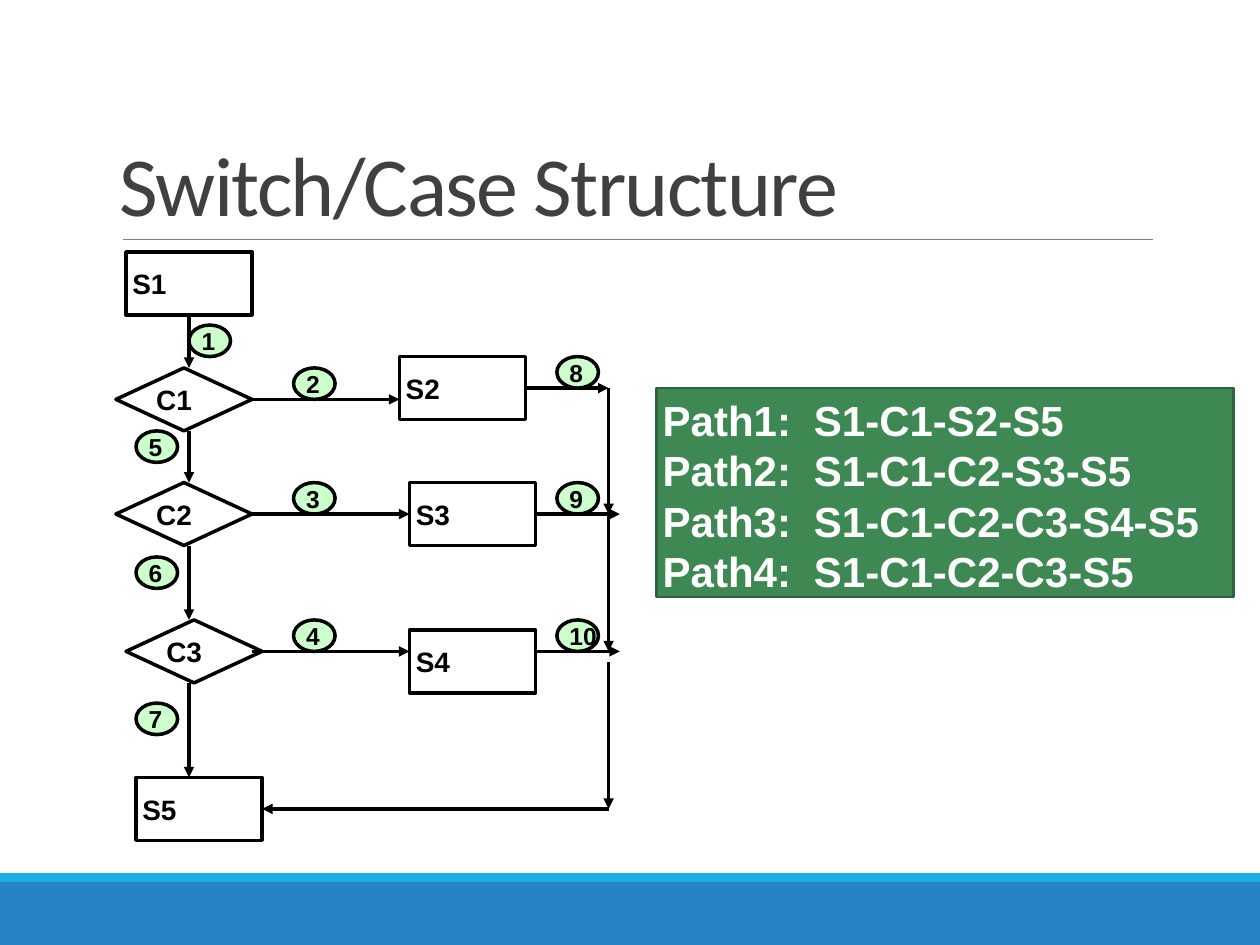
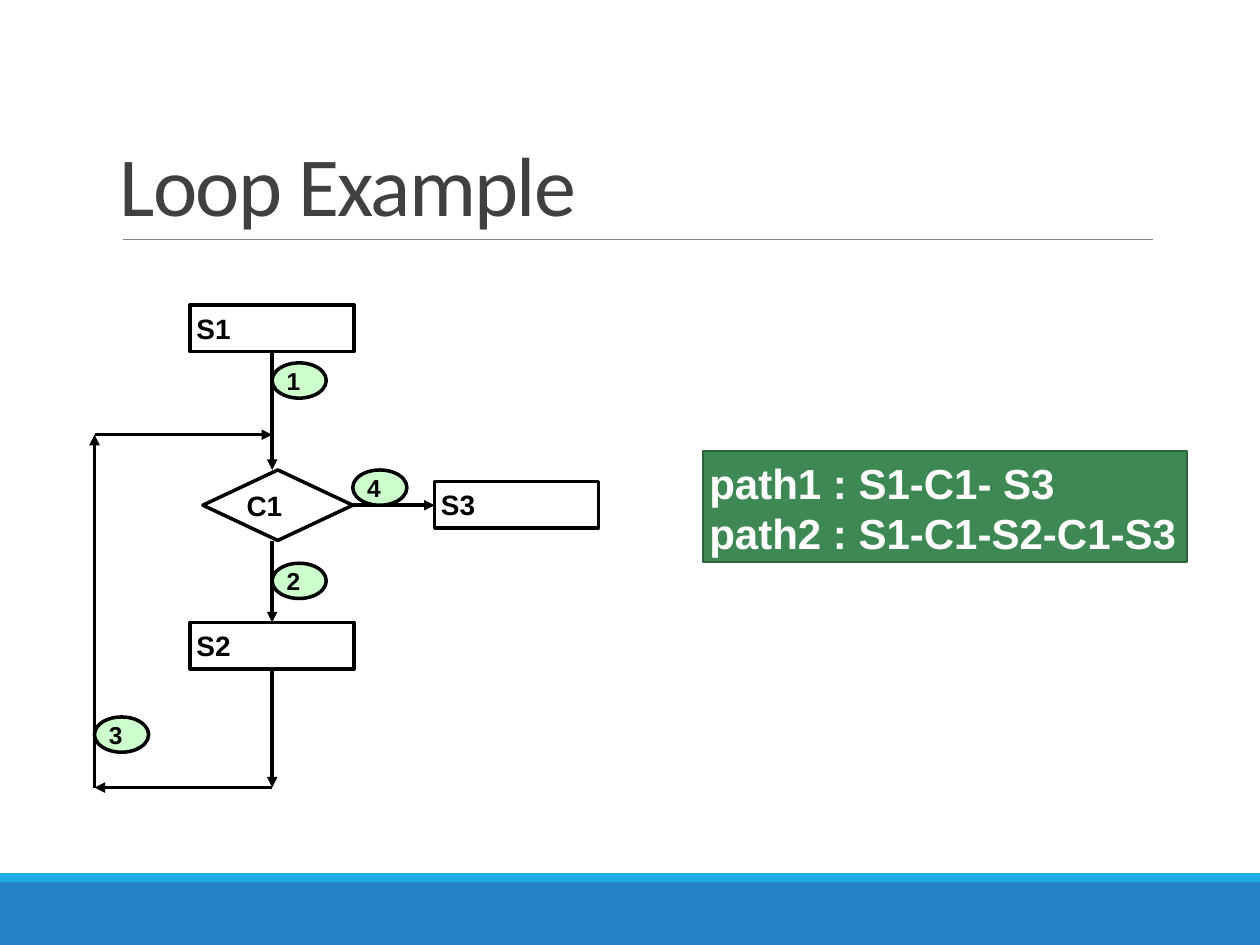
from lxml import etree
from pptx import Presentation
from pptx.dml.color import RGBColor
from pptx.enum.shapes import MSO_CONNECTOR, MSO_SHAPE
from pptx.enum.text import MSO_ANCHOR, MSO_AUTO_SIZE, PP_ALIGN
from pptx.oxml.ns import qn
from pptx.util import Inches, Pt

RECT = MSO_SHAPE.RECTANGLE
DIAMOND = MSO_SHAPE.DIAMOND
OVAL = MSO_SHAPE.OVAL
STRAIGHT = MSO_CONNECTOR.STRAIGHT
TOP, MIDDLE, BOTTOM = MSO_ANCHOR.TOP, MSO_ANCHOR.MIDDLE, MSO_ANCHOR.BOTTOM
FIT_SHAPE = MSO_AUTO_SIZE.SHAPE_TO_FIT_TEXT
LEFT = PP_ALIGN.LEFT

BLACK, WHITE = "000000", "FFFFFF"
BLUE, CYAN, GRAY, TITLE_GRAY = "2683C6", "1CADE4", "808080", "404040"
GREEN, DARK_GREEN, MINT = "3E8853", "2D633D", "CCFFCC"


def color(hex_string):
    return RGBColor.from_string(hex_string)


class Deck:
    def __init__(self):
        self.presentation = Presentation()
        self.presentation.slide_width = Inches(10)
        self.presentation.slide_height = Inches(7.5)
        self.slide = None

    def new_slide(self, title):
        layout = self.presentation.slide_layouts[6]
        self.slide = self.presentation.slides.add_slide(layout)
        self.shape(RECT, 0, 7, 10, 0.5, BLUE)
        self.shape(RECT, 0, 6.93, 10, 0.07, CYAN)
        self.line(0.98, 1.9, 9.15, 1.9, GRAY, 0.5)
        heading = self.slide.shapes.add_textbox(*map(Inches, (0.9, 0.31, 8.25, 1.59)))
        self.fill_text(heading, [title], 48, TITLE_GRAY, "Calibri", False, BOTTOM)
        paragraph = heading.text_frame.paragraphs[0]
        paragraph.line_spacing = 0.85
        paragraph.runs[0]._r.get_or_add_rPr().set("spc", "-100")

    def shape(self, preset, left, top, width, height, fill, outline=None, weight=2):
        shape = self.slide.shapes.add_shape(preset, *map(Inches, (left, top, width, height)))
        shape.shadow.inherit = False
        shape.fill.solid()
        shape.fill.fore_color.rgb = color(fill)
        if outline:
            shape.line.color.rgb = color(outline)
            shape.line.width = Pt(weight)
        else:
            shape.line.fill.background()
        return shape

    def line(self, x1, y1, x2, y2, stroke=BLACK, weight=2):
        connector = self.slide.shapes.add_connector(STRAIGHT, *map(Inches, (x1, y1, x2, y2)))
        connector.line.color.rgb = color(stroke)
        connector.line.width = Pt(weight)
        etree.SubElement(connector._element.spPr, qn("a:effectLst"))
        return connector

    def arrow(self, x1, y1, x2, y2):
        outline = self.line(x1, y1, x2, y2)._element.spPr.find(qn("a:ln"))
        etree.SubElement(outline, qn("a:tailEnd"), type="triangle")

    def fill_text(self, box, lines, size, ink, font="Arial", bold=True, anchor=MIDDLE, tab=None):
        frame = box.text_frame
        frame.word_wrap = True
        frame.vertical_anchor = anchor
        frame.margin_left = frame.margin_top = frame.margin_bottom = Inches(0.05)
        frame.margin_right = 0
        frame.text = "\n".join(lines)
        for paragraph in frame.paragraphs:
            paragraph.alignment = LEFT
            if tab:
                stops = etree.SubElement(paragraph._p.get_or_add_pPr(), qn("a:tabLst"))
                etree.SubElement(stops, qn("a:tab"), pos=str(Inches(tab)), algn="l")
            paragraph.font.name = font
            paragraph.font.size = Pt(size)
            paragraph.font.bold = bold
            paragraph.font.color.rgb = color(ink)

    def node(self, preset, text, left, top, width, height, fill=WHITE, size=16, inset=0):
        self.shape(preset, left, top, width, height, fill, BLACK)
        label_width = 0.1 + len(text) * (0.15 if size == 16 else 0.11)
        label_height = 0.36 if size == 16 else 0.34
        label_left = left + inset * width
        label_top = top + (height - label_height) / 2
        label = self.slide.shapes.add_textbox(
            *map(Inches, (label_left, label_top, label_width, label_height)))
        self.fill_text(label, [text], size, BLACK)
        label.text_frame.margin_right = Inches(0.05)
        label.text_frame.word_wrap = False
        label.text_frame.auto_size = FIT_SHAPE

    def statement(self, text, left, top, width=1, height=0.5):
        self.node(RECT, text, left, top, width, height)

    def condition(self, text, left, top, width=1.08, height=0.5):
        self.node(DIAMOND, text, left, top, width, height, inset=0.25)

    def edge_number(self, number, left, top, width=0.33, height=0.25):
        self.node(OVAL, str(number), left, top, width, height, MINT, 14, 0.15)

    def route_panel(self, lines, left, top, width, height, tab=None):
        panel = self.shape(RECT, left, top, width, height, GREEN, DARK_GREEN, 1.25)
        self.fill_text(panel, lines, 24, WHITE, anchor=TOP, tab=tab)


def switch_case(deck):
    deck.new_slide("Switch/Case Structure")
    for text, left, top in [("S1", 1, 2), ("S2", 3.17, 2.83), ("S3", 3.25, 3.83),
                            ("S4", 3.25, 5), ("S5", 1.08, 6.17)]:
        deck.statement(text, left, top)
    for text, left, top in [("C1", 0.92, 2.92), ("C2", 0.92, 3.83), ("C3", 1, 4.92)]:
        deck.condition(text, left, top)

    trunk, merge = 1.5, 4.83
    for start, end in [(2.5, 2.92), (3.42, 3.83), (4.33, 4.92), (5.42, 6.17)]:
        deck.arrow(trunk, start, trunk, end)
    for start, end, y in [(2, 3.17, 3.17), (2, 3.25, 5.17), (2, 3.25, 4.08),
                          (4.17, merge, 3.08), (4.25, 4.92, 4.08),
                          (4.25, 4.92, 5.17), (merge, 2.08, 6.42)]:
        deck.arrow(start, y, end, y)
    for start, end in [(3.08, 4.08), (4.08, 5.17), (5.25, 6.42)]:
        deck.arrow(merge, start, merge, end)

    deck.edge_number(1, 1.5, 2.58)
    for left, first, tops in [(2.33, 2, (2.92, 3.83, 4.92)),
                              (1.08, 5, (3.42, 4.42, 5.58)),
                              (4.42, 8, (2.83, 3.83, 4.92))]:
        for number, top in enumerate(tops, first):
            deck.edge_number(number, left, top)

    deck.route_panel(["Path1:\tS1-C1-S2-S5", "Path2:\tS1-C1-C2-S3-S5",
                      "Path3:\tS1-C1-C2-C3-S4-S5", "Path4:\tS1-C1-C2-C3-S5"],
                     5.21, 3.08, 4.58, 1.66, tab=1.2)


def loop(deck):
    deck.new_slide("Loop Example")
    for text, left, top in [("S1", 1.51, 2.42), ("S2", 1.51, 4.94), ("S3", 3.45, 3.82)]:
        deck.statement(text, left, top, 1.3, 0.37)
    deck.condition("C1", 1.61, 3.73, 1.19, 0.56)

    trunk, back, bottom, entry = 2.16, 0.75, 6.25, 3.45
    for start, end in [(2.79, 3.73), (5.32, bottom), (4.29, 4.94)]:
        deck.arrow(trunk, start, trunk, end)
    deck.arrow(trunk, bottom, back, bottom)
    deck.arrow(back, bottom, back, entry)
    deck.arrow(back, entry, trunk, entry)
    deck.arrow(2.8, 4.01, 3.45, 4.01)

    for number, left, top in [(3, back, 5.69), (2, trunk, 4.47),
                              (1, trunk, 2.88), (4, 2.8, 3.73)]:
        deck.edge_number(number, left, top, 0.43, 0.28)

    deck.route_panel(["path1 : S1-C1- S3", "path2 : S1-C1-S2-C1-S3"],
                     5.58, 3.58, 3.84, 0.88)


def main():
    deck = Deck()
    switch_case(deck)
    loop(deck)
    deck.presentation.save("out.pptx")


if __name__ == "__main__":
    main()
